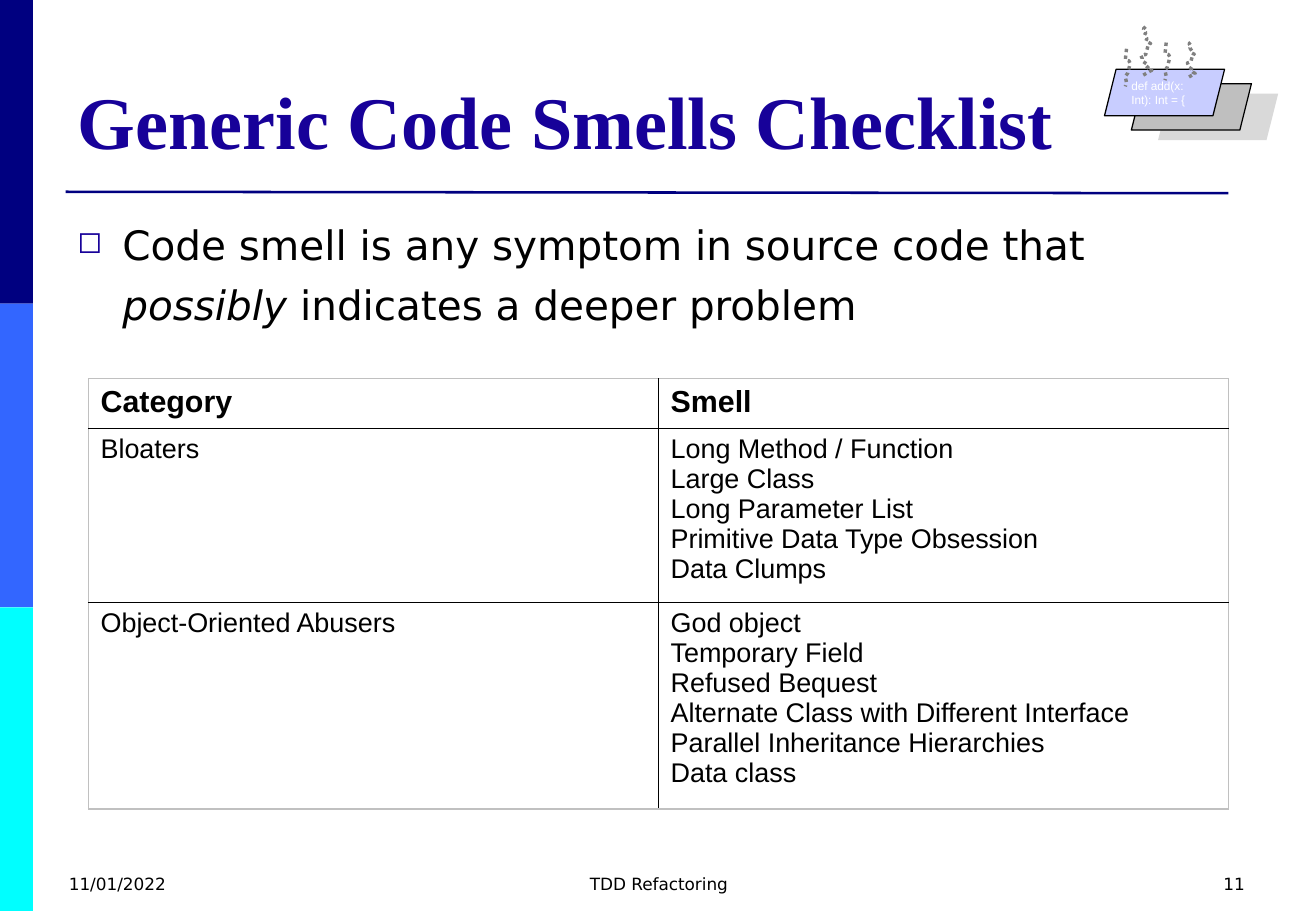
from dataclasses import dataclass

from lxml import etree
from pptx import Presentation
from pptx.dml.color import RGBColor
from pptx.enum.dml import MSO_LINE
from pptx.enum.shapes import MSO_CONNECTOR, MSO_SHAPE
from pptx.enum.text import MSO_ANCHOR, PP_ALIGN
from pptx.oxml.ns import qn
from pptx.util import Cm, Pt

RECT, SLANT = MSO_SHAPE.RECTANGLE, MSO_SHAPE.PARALLELOGRAM
STRAIGHT = MSO_CONNECTOR.STRAIGHT
LEFT, CENTER, RIGHT = PP_ALIGN.LEFT, PP_ALIGN.CENTER, PP_ALIGN.RIGHT
TOP, MIDDLE = MSO_ANCHOR.TOP, MSO_ANCHOR.MIDDLE
DOTS = MSO_LINE.ROUND_DOT


@dataclass(frozen=True)
class Theme:
    serif: str = "Times New Roman"
    sans: str = "Arial"
    text: str = "DejaVu Sans"
    ink: str = "000000"
    title: str = "170199"
    navy: str = "000080"
    bars: tuple = ("000080", "3366FF", "00FFFF")
    edge: str = "C0C0C0"
    smoke: str = "808080"
    cards: tuple = ("D9D9D9", "BFBFBF", "C8CDFF")
    code: str = "FFFFFF"
    title_size: int = 44
    body_size: int = 24
    head_size: int = 18
    cell_size: int = 16
    foot_size: int = 10
    code_size: int = 7


THEME = Theme()

ROWS = [
    (1.04, "Category", ["Smell"]),
    (3.38, "Bloaters", ["Long Method / Function", "Large Class",
                        "Long Parameter List", "Primitive Data Type Obsession",
                        "Data Clumps"]),
    (4.01, "Object-Oriented Abusers",
     ["God object", "Temporary Field", "Refused Bequest",
      "Alternate Class with Different Interface",
      "Parallel Inheritance Hierarchies", "Data class"]),
]

# Smoke outlines, in units of 0.0254 cm
WISP = [(2, 0), (1, 9), (4, 10), (5, 12), (3, 20), (1, 23), (2, 28), (1, 31)]
COIL = [(2, 41), (7, 38), (9, 37), (7, 36), (4, 33), (5, 32), (2, 30),
        (1, 29), (1, 27), (0, 25), (4, 24), (5, 20), (6, 16), (8, 15),
        (6, 14), (4, 13), (5, 11), (3, 8), (4, 6), (2, 3), (5, 0)]


def rgb(color):
    return RGBColor.from_string(color)


def style(para, face, size, color=THEME.ink, bold=False, align=LEFT):
    para.alignment = align
    font = para.font
    font.name, font.size, font.bold = face, Pt(size), bold
    font.color.rgb = rgb(color)


def add_box(shapes, kind, area, fill, line=None):
    box = shapes.add_shape(kind, *map(Cm, area))
    box.shadow.inherit = False
    box.fill.solid()
    box.fill.fore_color.rgb = rgb(fill)
    if line:
        box.line.color.rgb = rgb(line)
        box.line.width = Pt(0.75)
    else:
        box.line.fill.background()
    return box


def add_frame(shapes, area):
    frame = shapes.add_textbox(*map(Cm, area)).text_frame
    frame.word_wrap = True
    frame.vertical_anchor = TOP
    return frame


def add_rule(shapes, *ends):
    rule = shapes.add_connector(STRAIGHT, *map(Cm, ends))
    rule.line.color.rgb = rgb(THEME.navy)
    rule.line.width = Pt(1.5)
    etree.SubElement(rule._element.spPr, qn("a:effectLst"))


def set_title(title, text):
    title.left, title.top, title.width, title.height = map(
        Cm, (1.37, 1.32, 24.77, 2.62))
    frame = title.text_frame
    frame.text = text
    frame.vertical_anchor = MIDDLE
    frame.margin_top, frame.margin_bottom = 0, Cm(0.25)
    style(frame.paragraphs[0], THEME.serif, THEME.title_size, THEME.title, True)


def set_bullet(para, mark):
    props = para._p.get_or_add_pPr()
    props.set("marL", str(Cm(0.94)))
    props.set("indent", str(-Cm(0.94)))
    tint = etree.SubElement(props, qn("a:buClr"))
    etree.SubElement(tint, qn("a:srgbClr"), val=THEME.title)
    etree.SubElement(props, qn("a:buSzPct"), val="75000")
    etree.SubElement(props, qn("a:buChar"), char=mark)


def add_body(shapes):
    frame = add_frame(shapes, (1.37, 4.11, 23.83, 2.79))
    frame.margin_top = Cm(0.23)
    para = frame.paragraphs[0]
    set_bullet(para, "◻")
    para.line_spacing = 1.25
    style(para, THEME.text, THEME.body_size)
    for text in ("Code smell is any symptom in source code that ",
                 "possibly", " indicates a deeper problem"):
        run = para.add_run()
        run.text = text
        if text == "possibly":
            run.font.italic = True


def set_edge(cell, side, color):
    line = etree.SubElement(cell._tc.get_or_add_tcPr(), qn("a:ln" + side),
                            w=str(Pt(1)))
    fill = etree.SubElement(line, qn("a:solidFill"))
    etree.SubElement(fill, qn("a:srgbClr"), val=color)


def add_grid(shapes):
    high = sum(row[0] for row in ROWS)
    table = shapes.add_table(len(ROWS), 2, *map(
        Cm, (1.85, 7.92, 23.83, high))).table
    table.first_row = table.horz_banding = False
    last = len(ROWS) - 1
    for r, (tall, group, smells) in enumerate(ROWS):
        table.rows[r].height = Cm(tall)
        size = THEME.cell_size if r else THEME.head_size
        for c, lines in enumerate(([group], smells)):
            cell = table.cell(r, c)
            outer = {"L": c == 0, "R": c == 1, "T": r == 0, "B": r == last}
            for side, out in outer.items():
                set_edge(cell, side, THEME.edge if out else THEME.ink)
            cell.fill.background()
            cell.text = "\n".join(lines)
            for para in cell.text_frame.paragraphs:
                style(para, THEME.sans, size, bold=r == 0)


def add_foot(shapes, text, left, width, align):
    frame = add_frame(shapes, (left, 18.14, width, 0.91))
    frame.text = text
    style(frame.paragraphs[0], THEME.text, THEME.foot_size, align=align)


def add_smoke(shapes, dots, left, top, scale=1):
    pen = shapes.build_freeform(*dots[0], scale=Cm(0.0254) * scale)
    pen.add_line_segments(dots[1:], close=False)
    trail = pen.convert_to_shape(Cm(left), Cm(top))
    trail.shadow.inherit = False
    trail.fill.background()
    trail.line.color.rgb = rgb(THEME.smoke)
    trail.line.width = Pt(2)
    trail.line.dash_style = DOTS


def add_icon(shapes):
    icon = shapes.add_group_shape().shapes
    size = (2.51, 0.97)
    back, mid, front = THEME.cards
    add_box(icon, SLANT, (24.21, 1.96, *size), back)
    add_box(icon, SLANT, (23.65, 1.75, *size), mid, THEME.ink).rotation = 180
    card = add_box(icon, SLANT, (23.09, 1.45, *size), front, THEME.ink)
    frame = card.text_frame
    frame.word_wrap = True
    frame.text = "def add(x: Int): Int = {"
    frame.vertical_anchor = MIDDLE
    style(frame.paragraphs[0], THEME.sans, THEME.code_size, THEME.code)
    add_smoke(icon, WISP, 23.5, 1.02)
    add_smoke(icon, WISP, 24.33, 0.89)
    add_smoke(icon, COIL, 23.85, 0.53)
    add_smoke(icon, COIL, 24.82, 0.86, 0.72)


def main():
    deck = Presentation()
    deck.slide_width, deck.slide_height = Cm(27.51), Cm(19.05)
    slide = deck.slides.add_slide(deck.slide_layouts[5])
    shapes = slide.shapes

    # Side bars and title rule
    for i, color in enumerate(THEME.bars):
        add_box(shapes, RECT, (0, i * 6.35, 0.69, 6.35), color)
    add_rule(shapes, 1.37, 4.01, 25.68, 4.04)

    # Title, statement and table
    set_title(shapes.title, "Generic Code Smells Checklist")
    add_body(shapes)
    add_grid(shapes)

    # Footer
    add_foot(shapes, "11/01/2022", 1.19, 6.43, LEFT)
    add_foot(shapes, "TDD Refactoring", 9.42, 8.71, CENTER)
    add_foot(shapes, "11", 19.84, 6.43, RIGHT)

    # Smelly code icon
    add_icon(shapes)
    deck.save("out.pptx")


if __name__ == "__main__":
    main()
